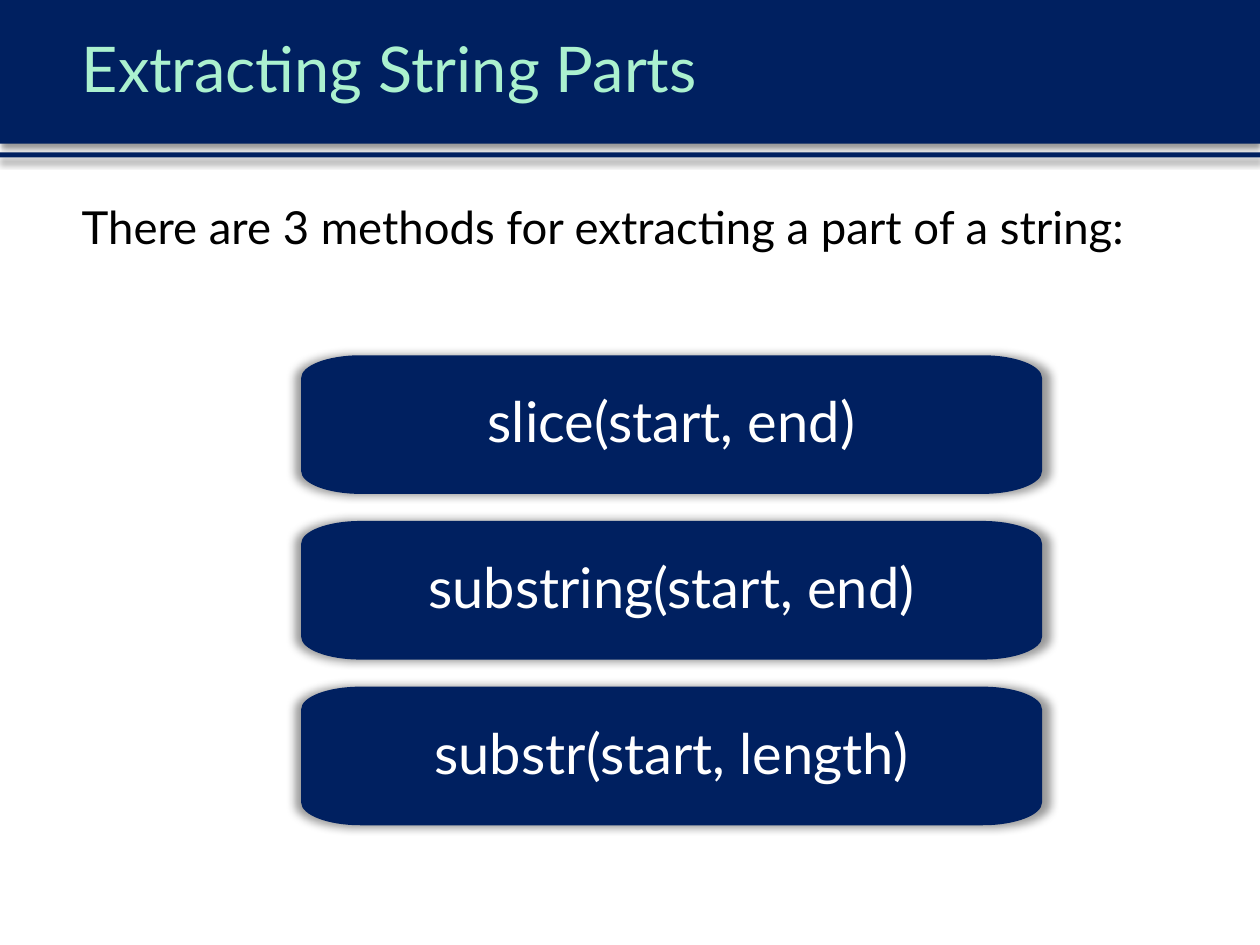
import lxml.etree
import pptx
import pptx.dml.color
import pptx.enum.shapes
import pptx.enum.text
import pptx.oxml.ns
import pptx.util

COLORS = {"navy": "002060", "mint": "ABF1CF", "black": "000000", "white": "FFFFFF"}
FONT = "Lato"
WIDTH, HEIGHT = 10, 7.5
MARGIN = 0.055 * WIDTH
HEADER_H = 1.14
METHODS = ["slice(start, end)", "substring(start, end)", "substr(start, length)"]
BOX = {"left": 2.39, "top": 2.82, "width": 5.88, "height": 1.1, "pitch": 1.315}
CORNER_X, CORNER_Y = 0.47, 0.18
KAPPA = 0.55  # handle length of a quarter ellipse, as a share of its radius
BAR_SHADOW = {"blurRad": pptx.util.Pt(4), "dist": pptx.util.Pt(3), "dir": 90 * 60000}
BOX_SHADOW = {"blurRad": pptx.util.Pt(5), "sx": 102000, "sy": 102000, "algn": "ctr"}
ANCHOR = pptx.enum.text.MSO_ANCHOR
ALIGN = pptx.enum.text.PP_ALIGN
qn = pptx.oxml.ns.qn


def rgb(name):
    return pptx.dml.color.RGBColor.from_string(COLORS[name])


def inches(*values):
    return [pptx.util.Inches(v) for v in values]


def set_all(obj, values):
    for name, value in values.items():
        setattr(obj, name, value)


def add_xml(parent, tag, **attributes):
    return lxml.etree.SubElement(
        parent, qn(tag), {name: str(value) for name, value in attributes.items()})


def paint(sp, shadow):
    """Fill in navy without outline, over a 40 % black shadow."""
    sp.fill.solid()
    sp.fill.fore_color.rgb = rgb("navy")
    sp.line.fill.background()
    sp.shadow.inherit = False
    effects = sp._element.spPr.find(qn("a:effectLst"))
    outer = add_xml(effects, "a:outerShdw", rotWithShape=0, **shadow)
    color = add_xml(outer, "a:srgbClr", val=COLORS["black"])
    add_xml(color, "a:alpha", val=40000)


def write(sp, text, size, color, frame, paragraph):
    tf = sp.text_frame
    set_all(tf, {"word_wrap": True, **frame})
    p = tf.paragraphs[0]
    set_all(p, paragraph)
    r = p.add_run()
    r.text = text
    set_all(r.font, {"name": FONT, "size": pptx.util.Pt(size)})
    r.font.color.rgb = rgb(color)


def add_bar(s, top, height):
    sp = s.shapes.add_shape(pptx.enum.shapes.MSO_SHAPE.RECTANGLE,
                            *inches(0, top, WIDTH, height))
    paint(sp, BAR_SHADOW)


def add_label(s, box, text, size, color, anchor, spacing):
    sp = s.shapes.add_textbox(*inches(*box))
    write(sp, text, size, color, {"vertical_anchor": anchor},
          {"alignment": ALIGN.LEFT, "line_spacing": spacing})


def cut_corner_outline(left, top, width, height):
    """Clockwise points of the box, two for each corner."""
    right, bottom = left + width, top + height
    x1, x2 = left + CORNER_X, right - CORNER_X
    y1, y2 = top + CORNER_Y, bottom - CORNER_Y
    return [inches(*point) for point in (
        (left, y1), (x1, top), (x2, top), (right, y1),
        (right, y2), (x2, bottom), (x1, bottom), (left, y2), (left, y1))]


def round_corners(sp):
    """Turn each slanted line of the outline into a quarter ellipse."""
    steps = [step for step in sp._element.iter(qn("a:moveTo"), qn("a:lnTo"))]
    points = [(int(step[0].get("x")), int(step[0].get("y"))) for step in steps]
    for i in range(1, len(steps), 2):
        (x0, y0), (x1, y1) = points[i - 1], points[i]
        corner = (x0, y1) if i % 4 == 1 else (x1, y0)
        curve = lxml.etree.Element(qn("a:cubicBezTo"))
        for x, y in (points[i - 1], points[i]):
            add_xml(curve, "a:pt", x=round(x + KAPPA * (corner[0] - x)),
                    y=round(y + KAPPA * (corner[1] - y)))
        add_xml(curve, "a:pt", x=x1, y=y1)
        steps[i].getparent().replace(steps[i], curve)


def add_method_box(s, row, text):
    top = BOX["top"] + row * BOX["pitch"]
    points = cut_corner_outline(BOX["left"], top, BOX["width"], BOX["height"])
    builder = s.shapes.build_freeform(*points[0])
    builder.add_line_segments(points[1:], close=True)
    sp = builder.convert_to_shape()
    round_corners(sp)
    paint(sp, BOX_SHADOW)
    side, end = inches(0.15, 0.11)
    write(sp, text, 32, "white",
          {"vertical_anchor": ANCHOR.MIDDLE, "margin_left": side,
           "margin_right": side, "margin_top": end, "margin_bottom": end},
          {"alignment": ALIGN.CENTER, "line_spacing": 0.9})


def main():
    prs = pptx.Presentation()
    prs.slide_width, prs.slide_height = inches(WIDTH, HEIGHT)
    s = prs.slides.add_slide(prs.slide_layouts[6])
    add_bar(s, 0, HEADER_H)
    add_bar(s, 1.21, 0.04)
    add_label(s, (MARGIN, 0, WIDTH - MARGIN, HEADER_H), "Extracting String Parts",
              36, "mint", ANCHOR.MIDDLE, 0.9)
    add_label(s, (MARGIN, 1.31, 8.97, 1.01),
              "There are 3 methods for extracting a part of a string:",
              26, "black", ANCHOR.TOP, 1.5)
    for row, text in enumerate(METHODS):
        add_method_box(s, row, text)
    prs.save("out.pptx")


if __name__ == "__main__":
    main()
